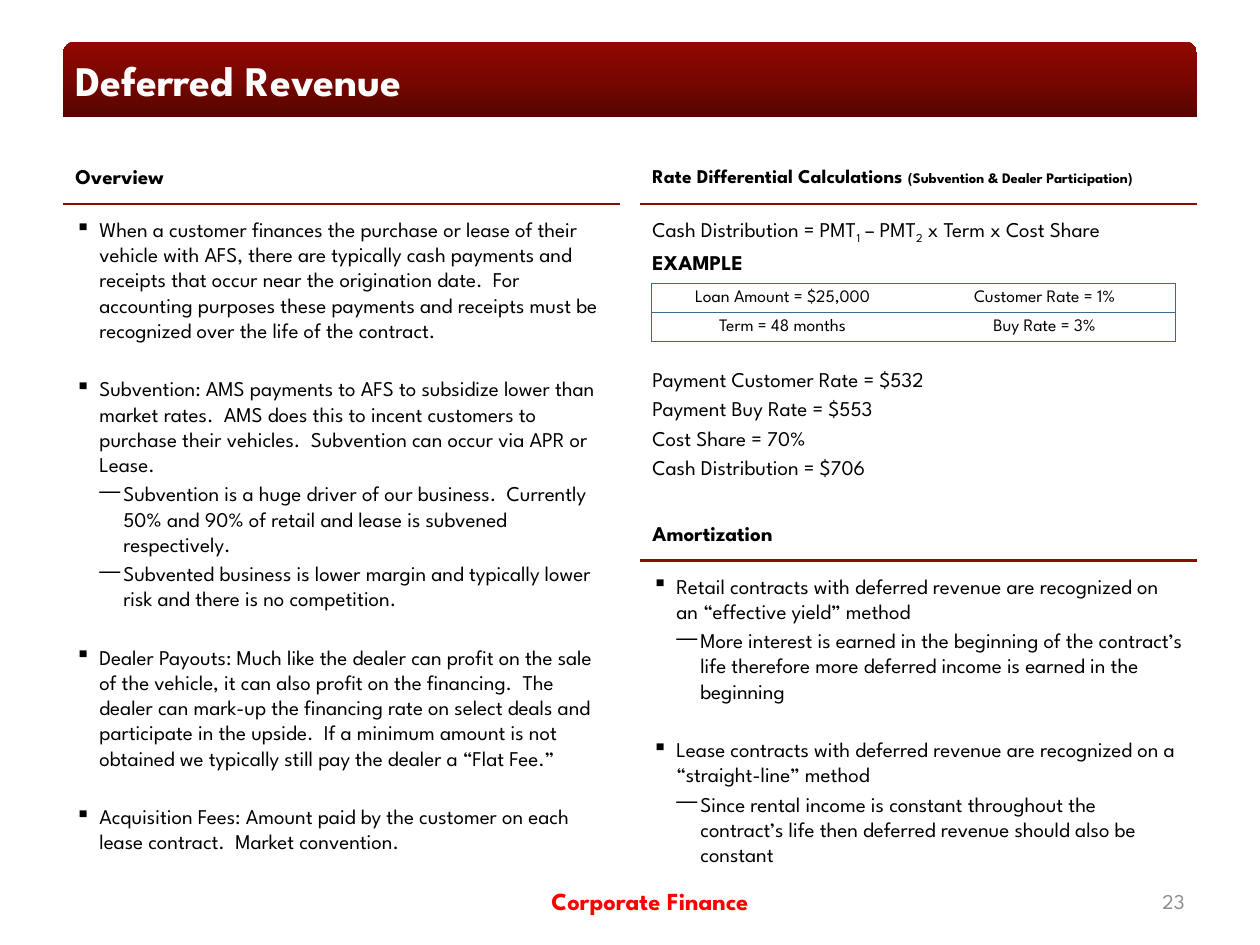
from copy import deepcopy
from lxml import etree
from pptx import Presentation
from pptx.dml.color import RGBColor
from pptx.enum.shapes import MSO_CONNECTOR as Conn, MSO_SHAPE as Shape
from pptx.enum.text import MSO_ANCHOR as Anchor, MSO_AUTO_SIZE as Fit, PP_ALIGN as Align
from pptx.oxml.ns import qn
from pptx.util import Inches, Pt

FONT = "League Spartan"
LEFT, RIGHT, WIDE = 0.5, 5.08, 4.42
GAP = 19  # space before a new topic, in points


def style(par, size=12, color="000000", bold=False):
    for run in par.runs:
        font = run.font
        font.name, font.size, font.bold = FONT, Pt(size), bold
        font.color.rgb = RGBColor.from_string(color)


def add_text(x, y, w, h, items, bold=False):
    """Add a text box; each item is (text, bullet level, space before)."""
    box = slide.shapes.add_textbox(Inches(x), Inches(y), Inches(w), Inches(h))
    frame = box.text_frame
    frame.word_wrap = True
    for i, (text, level, space) in enumerate(items):
        par = frame.add_paragraph() if i else frame.paragraphs[0]
        par.text = text
        par.space_before = Pt(space)
        style(par, bold=bold)
        if level:
            props = par._p.get_or_add_pPr()
            props.set("marL", str(Inches(0.19 * level)))
            props.set("indent", str(Inches(-0.19)))
            mark = etree.SubElement(props, qn("a:buChar"))
            mark.set("char", "▪" if level == 1 else "―")
    return frame


prs = Presentation()
prs.slide_width, prs.slide_height = Inches(10), Inches(7.5)
slide = prs.slides.add_slide(prs.slide_layouts[5])

# Title on its gradient bar
area = Inches(LEFT), Inches(0.33), Inches(9), Inches(0.6)
bar = slide.shapes.add_shape(Shape.ROUND_2_SAME_RECTANGLE, *area)
bar.shadow.inherit = False
bar.line.fill.background()
bar.fill.gradient()
bar.fill.gradient_angle = 90
first = bar.fill._fill._gradFill.gsLst[0]
first.addnext(deepcopy(first))
shades = (0, "550500"), (0.5, "790700"), (1, "900800")
for stop, (place, shade) in zip(bar.fill.gradient_stops, shades):
    stop.position = place
    stop.color.rgb = RGBColor.from_string(shade)

title = slide.shapes.title
title.left, title.top, title.width, title.height = area
bar._element.getparent().append(title._element)
frame = title.text_frame
frame.text = "Deferred Revenue"
frame.auto_size = Fit.NONE
frame.vertical_anchor = Anchor.MIDDLE
frame.paragraphs[0].alignment = Align.LEFT
style(frame.paragraphs[0], 24, "FFFFFF", True)

# Section headings, each over a rule
heads = [(LEFT, 1.25, "Overview"), (RIGHT, 1.25, "Rate Differential Calculations "),
         (RIGHT, 4.08, "Amortization")]
for x, y, text in heads:
    head = add_text(x, y, WIDE, 0.33, [(text, 0, 2.4)], True).paragraphs[0]
    if text.startswith("Rate"):
        style(head, 11.1, bold=True)
        note = head.add_run()
        note.text = "(Subvention & Dealer Participation)"
        note.font.name, note.font.size, note.font.bold = FONT, Pt(8.3), True
        note.font.color.rgb = RGBColor.from_string("000000")
    level = Inches(y + 0.37)
    rule = slide.shapes.add_connector(Conn.STRAIGHT, Inches(x), level, Inches(x + WIDE), level)
    rule.line.color.rgb = RGBColor.from_string("8C0C04")
    rule.line.width = Pt(1.5)
    etree.SubElement(rule._element.spPr, qn("a:effectLst"))

# Section bodies
add_text(LEFT, 1.67, WIDE, 5.17, [
    ("When a customer finances the purchase or lease of their vehicle with AFS, there are "
     "typically cash payments and receipts that occur near the origination date.  For accounting "
     "purposes these payments and receipts must be recognized over the life of the contract.",
     1, 2.4),
    ("Subvention: AMS payments to AFS to subsidize lower than market rates.  AMS does this to "
     "incent customers to purchase their vehicles.  Subvention can occur via APR or Lease.",
     1, GAP),
    ("Subvention is a huge driver of our business.  Currently 50% and 90% of retail and lease "
     "is subvened respectively.", 2, 2.4),
    ("Subvented business is lower margin and typically lower risk and there is no competition.",
     2, 2.4),
    ("Dealer Payouts: Much like the dealer can profit on the sale of the vehicle, it can also "
     "profit on the financing.  The dealer can mark-up the financing rate on select deals and "
     "participate in the upside.  If a minimum amount is not obtained we typically still pay "
     "the dealer a “Flat Fee.”", 1, GAP),
    ("Acquisition Fees: Amount paid by the customer on each lease contract.  Market convention.",
     1, GAP),
])

rates = add_text(RIGHT, 1.67, WIDE, 2.33, [
    ("Cash Distribution = PMT", 0, 2.4),
    ("EXAMPLE", 0, 2.4),
    ("Payment Customer Rate = $532", 0, 52.5),
    ("Payment Buy Rate = $553", 0, 2.4),
    ("Cost Share = 70%", 0, 2.4),
    ("Cash Distribution = $706", 0, 2.4),
])
formula, example = rates.paragraphs[:2]
for text in ("1", " – PMT", "2", " x Term x Cost Share"):
    run = formula.add_run()
    run.text = text
    if text.isdigit():
        run._r.get_or_add_rPr().set("baseline", "-25000")
style(formula)
style(example, bold=True)

add_text(RIGHT, 4.5, WIDE, 2.33, [
    ("Retail contracts with deferred revenue are recognized on an “effective yield” method",
     1, 2.4),
    ("More interest is earned in the beginning of the contract’s life therefore more deferred "
     "income is earned in the beginning", 2, 2.4),
    ("Lease contracts with deferred revenue are recognized on a “straight-line” method", 1, GAP),
    ("Since rental income is constant throughout the contract’s life then deferred revenue "
     "should also be constant", 2, 2.4),
])

# Example terms
terms = [("Loan Amount = $25,000", "Customer Rate = 1%"), ("Term = 48 months", "Buy Rate = 3%")]
table = slide.shapes.add_table(2, 2, Inches(5.17), Inches(2.25), Inches(4.16), Inches(0.46)).table
table.first_row = table.horz_banding = False
for r, row in enumerate(terms):
    for c, text in enumerate(row):
        cell = table.cell(r, c)
        cell.text = text
        cell.vertical_anchor = Anchor.MIDDLE
        cell.margin_top = cell.margin_bottom = Inches(0.02)
        par = cell.text_frame.paragraphs[0]
        par.alignment = Align.CENTER
        style(par, 10)
        props = cell._tc.get_or_add_tcPr()
        for side in "LRTB":
            edge = etree.SubElement(props, qn("a:ln" + side), w=str(Pt(0.75)))
            if side == "RL"[c]:
                etree.SubElement(edge, qn("a:noFill"))
            else:
                fill = etree.SubElement(edge, qn("a:solidFill"))
                etree.SubElement(fill, qn("a:srgbClr"), val="386C8E")
        cell.fill.background()

# Footer
footer = [(2.66, 5, "Corporate Finance", Align.CENTER, 14, "FF0000", True),
          (7.17, 2.33, "23", Align.RIGHT, 12, "8C8C8C", False)]
for x, w, text, align, size, color, bold in footer:
    frame = add_text(x, 6.95, w, 0.4, [(text, 0, 0)])
    frame.vertical_anchor = Anchor.MIDDLE
    frame.paragraphs[0].alignment = align
    style(frame.paragraphs[0], size, color, bold)

prs.save("out.pptx")
